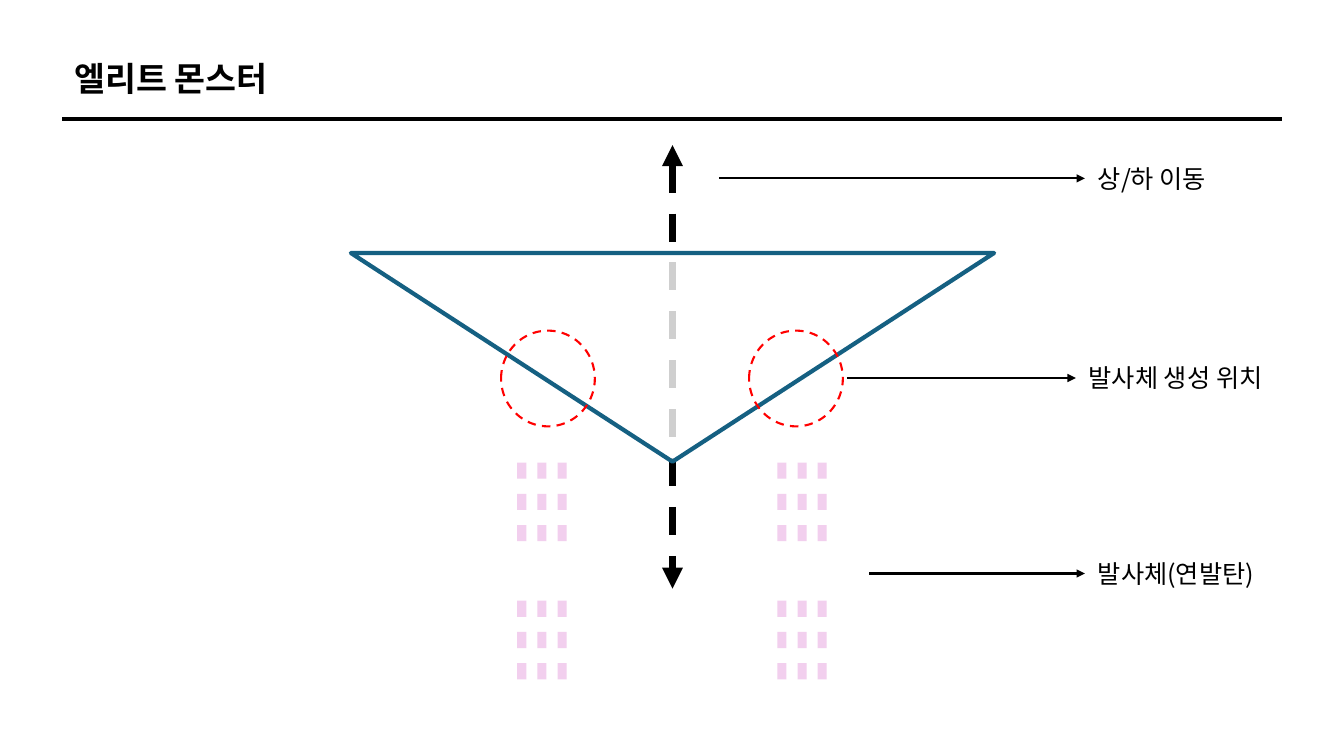
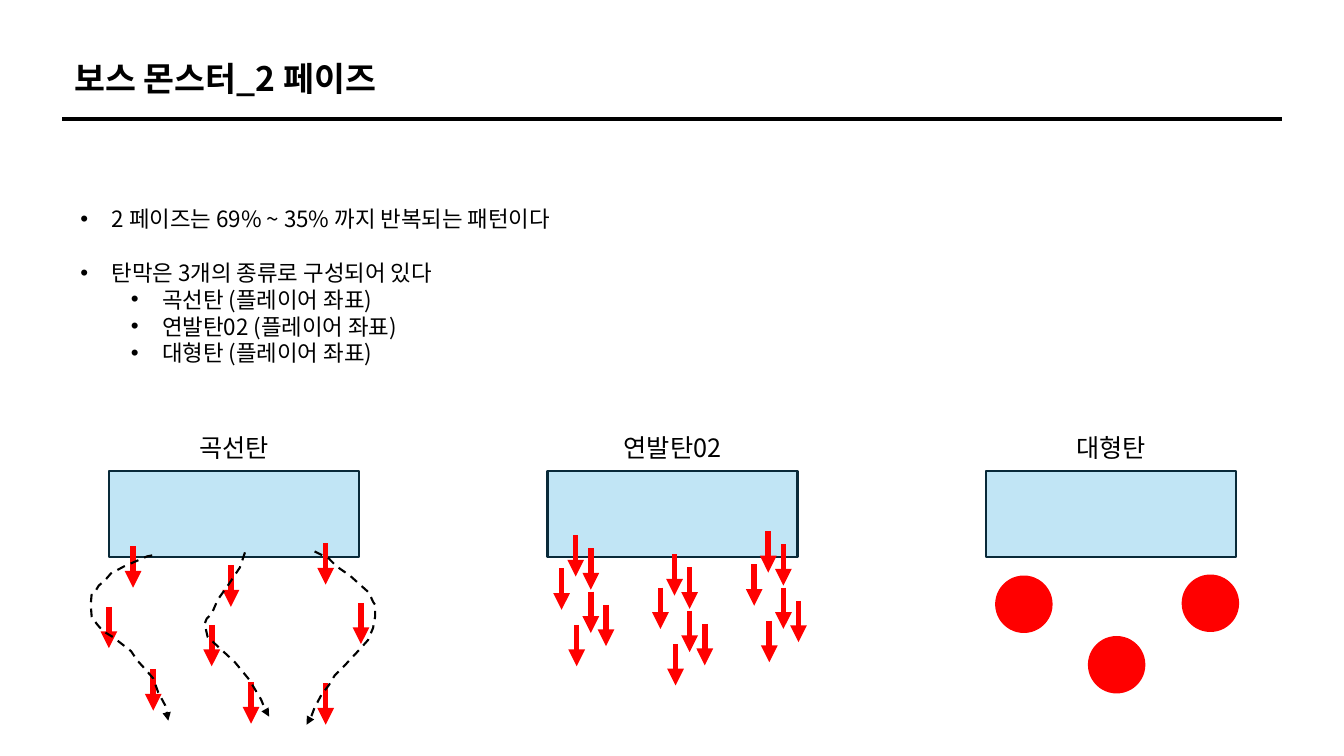
from itertools import product
from lxml import etree
from pptx import Presentation
from pptx.dml.color import RGBColor
from pptx.enum.dml import MSO_LINE
from pptx.enum.shapes import MSO_CONNECTOR, MSO_SHAPE
from pptx.enum.text import PP_ALIGN
from pptx.oxml.ns import qn
from pptx.util import Inches, Pt

RECT, OVAL = MSO_SHAPE.RECTANGLE, MSO_SHAPE.OVAL
WEDGE = MSO_SHAPE.ISOSCELES_TRIANGLE
STRAIGHT, DASH = MSO_CONNECTOR.STRAIGHT, MSO_LINE.DASH
LEFT, CENTER = PP_ALIGN.LEFT, PP_ALIGN.CENTER

FONT = "Noto Sans CJK KR"
BLACK, WHITE, RED, PINK = "000000", "FFFFFF", "FF0000", "F2CFEE"
TEAL, SKY, NAVY = "156082", "C1E5F5", "092A39"
WIDE, HIGH = 13.33, 7.5

ELITE = "엘리트 몬스터"
NOTES = [
    ("상/하 이동", 7.13, 10.76, 1.77),
    ("발사체 생성 위치", 8.4, 10.67, 3.75),
    ("발사체(연발탄)", 8.62, 10.76, 5.69),
]
RINGS = [4.97, 7.43]
BURSTS = list(product([5.13, 7.71], [4.59, 5.96]))
STEP_X, STEP_Y = 0.2, 0.31

BOSS = "보스 몬스터_2 페이즈"
POINTS = [
    (0, "2 페이즈는 69% ~ 35% 까지 반복되는 패턴이다"),
    (0, "탄막은 3개의 종류로 구성되어 있다"),
    (1, "곡선탄 (플레이어 좌표)"),
    (1, "연발탄02 (플레이어 좌표)"),
    (1, "대형탄 (플레이어 좌표)"),
]
KINDS = ["곡선탄", "연발탄02", "대형탄"]
BOX_X, BOX_Y, BOX_W, BOX_H, PITCH = 1.08, 4.67, 2.48, 0.86, 4.35
SHOT = 0.41
CURVED = [
    (1.32, 5.42), (1.08, 6.02), (1.52, 6.64),
    (2.29, 5.61), (2.1, 6.2), (2.49, 6.77),
    (3.23, 5.39), (3.58, 5.98), (3.23, 6.78),
]
VOLLEYS = [(5.71, 5.31), (6.69, 5.5), (7.62, 5.27)]
TRIO = [(0, 0), (0.15, 0.13), (-0.14, 0.33)]
REPEAT = [(0, 0), (0.15, 0.56)]
BALLS = [(9.87, 5.71), (10.79, 6.31), (11.72, 5.7)]
TRAILS = [
    [(151, 551), (146, 552), (123, 562), (110, 569), (104, 576), (98, 581),
     (95, 586), (91, 589), (90, 600), (91, 612), (96, 619), (102, 626),
     (112, 632), (121, 639), (130, 646), (136, 655), (145, 665), (152, 673),
     (157, 687), (164, 700), (167, 715)],
    [(243, 548), (238, 563), (226, 581), (216, 595), (210, 609), (205, 614),
     (203, 619), (206, 632), (219, 644), (233, 657), (247, 674), (253, 684),
     (259, 694), (263, 704), (267, 711)],
    [(312, 547), (326, 554), (334, 562), (347, 571), (366, 588), (370, 597),
     (372, 600), (372, 612), (370, 623), (365, 635), (356, 645), (343, 659),
     (332, 670), (326, 680), (319, 689), (312, 702), (309, 710), (304, 719)],
]


def ink(hue):
    return RGBColor.from_string(hue)


def sub(node, tag, **attrs):
    return etree.SubElement(node, qn(tag), attrs)


def stroke(item, hue, size, dash=False, ends=()):
    item.line.color.rgb = ink(hue)
    item.line.width = Pt(size)
    if dash:
        item.line.dash_style = DASH
    for end in ends:
        sub(item.line._get_or_add_ln(), f"a:{end}End", type="triangle")


def shape(slide, kind, x, y, w, h, fill=None, edge=None, size=1.5, dash=False):
    item = slide.shapes.add_shape(kind, *map(Inches, (x, y, w, h)))
    item.shadow.inherit = False
    if fill:
        item.fill.solid()
        item.fill.fore_color.rgb = ink(fill)
    else:
        item.fill.background()
    if edge:
        stroke(item, edge, size, dash)
    else:
        item.line.fill.background()
    return item


def line(slide, x1, y1, x2, y2, hue=BLACK, size=1.5, dash=False, ends=("tail",)):
    item = slide.shapes.add_connector(STRAIGHT, *map(Inches, (x1, y1, x2, y2)))
    stroke(item, hue, size, dash, ends)
    sub(item._element.spPr, "a:effectLst")


def style(para, size, bold=False, align=LEFT):
    para.alignment = align
    font = para.font
    font.size, font.bold, font.name = Pt(size), bold, FONT
    font.color.rgb = ink(BLACK)
    sub(font._element, "a:ea", typeface=FONT)


def frame(slide, x, y, w, h):
    body = slide.shapes.add_textbox(*map(Inches, (x, y, w, h))).text_frame
    body.word_wrap = True
    return body


def label(slide, text, x, y, w, h=0.4, size=18, bold=False, align=LEFT):
    para = frame(slide, x, y, w, h).paragraphs[0]
    para.text = text
    style(para, size, bold, align)


def bullets(slide, rows):
    body = frame(slide, 0.7, 1.72, 11.93, 2.98)
    for i, (level, text) in enumerate(rows):
        para = body.add_paragraph() if i else body.paragraphs[0]
        para.text, para.level = text, level
        para.line_spacing = 1.0 if level else 2.0
        props = para._p.get_or_add_pPr()
        props.set("marL", str(Inches(0.31 + level / 2)))
        props.set("indent", str(Inches(-0.31)))
        sub(props, "a:buFont", typeface="Arial")
        sub(props, "a:buChar", char="•")
        style(para, 16)


def trail(slide, dots):
    path = slide.shapes.build_freeform(*dots[0], scale=Inches(0.01))
    path.add_line_segments(dots[1:], close=False)
    item = path.convert_to_shape()
    item.shadow.inherit = False
    item.fill.background()
    stroke(item, BLACK, 1.5, True, ("tail",))


def page(deck, title):
    slide = deck.slides.add_slide(deck.slide_layouts[6])
    label(slide, title, 0.64, 0.53, 6.31, 0.5, 24, True)
    line(slide, 0.62, 1.18, 12.72, 1.18, size=2.75, ends=())
    return slide


def elite(deck):
    slide = page(deck, ELITE)
    line(slide, 6.67, 1.44, 6.67, 5.84, size=5, dash=True, ends=("head", "tail"))
    body = shape(slide, WEDGE, 3.48, 2.51, 6.38, 2.07, WHITE, TEAL, 3)
    body.rotation = 180
    tint = body._element.spPr.find(qn("a:solidFill"))[0]
    sub(tint, "a:alpha", val="81000")
    for x in RINGS:
        shape(slide, OVAL, x, 3.28, 0.93, 0.95, edge=RED, dash=True)
    for (x, y), col, row in product(BURSTS, range(3), range(3)):
        shape(slide, RECT, x + col * STEP_X, y + row * STEP_Y, 0.09, 0.16, PINK)
    for text, start, end, y in NOTES:
        line(slide, start, y, end, y)
        label(slide, text, end + 0.03, y - 0.2, 2.35)


def boss(deck):
    slide = page(deck, BOSS)
    bullets(slide, POINTS)
    for i, kind in enumerate(KINDS):
        x = BOX_X + i * PITCH
        shape(slide, RECT, x, BOX_Y, BOX_W, BOX_H, SKY, NAVY)
        label(slide, kind, x, BOX_Y - 0.43, BOX_W, align=CENTER)
    salvo = [(x + dx + rx, y + dy + ry) for (x, y), (dx, dy), (rx, ry)
             in product(VOLLEYS, TRIO, REPEAT)]
    for x, y in CURVED + salvo:
        line(slide, x, y, x, y + SHOT, RED, 4)
    for x, y in BALLS:
        shape(slide, OVAL, x, y, 0.57, 0.57, RED)
    for dots in TRAILS:
        trail(slide, dots)


def main():
    deck = Presentation()
    deck.slide_width, deck.slide_height = Inches(WIDE), Inches(HIGH)
    elite(deck)
    boss(deck)
    deck.save("out.pptx")


if __name__ == "__main__":
    main()
